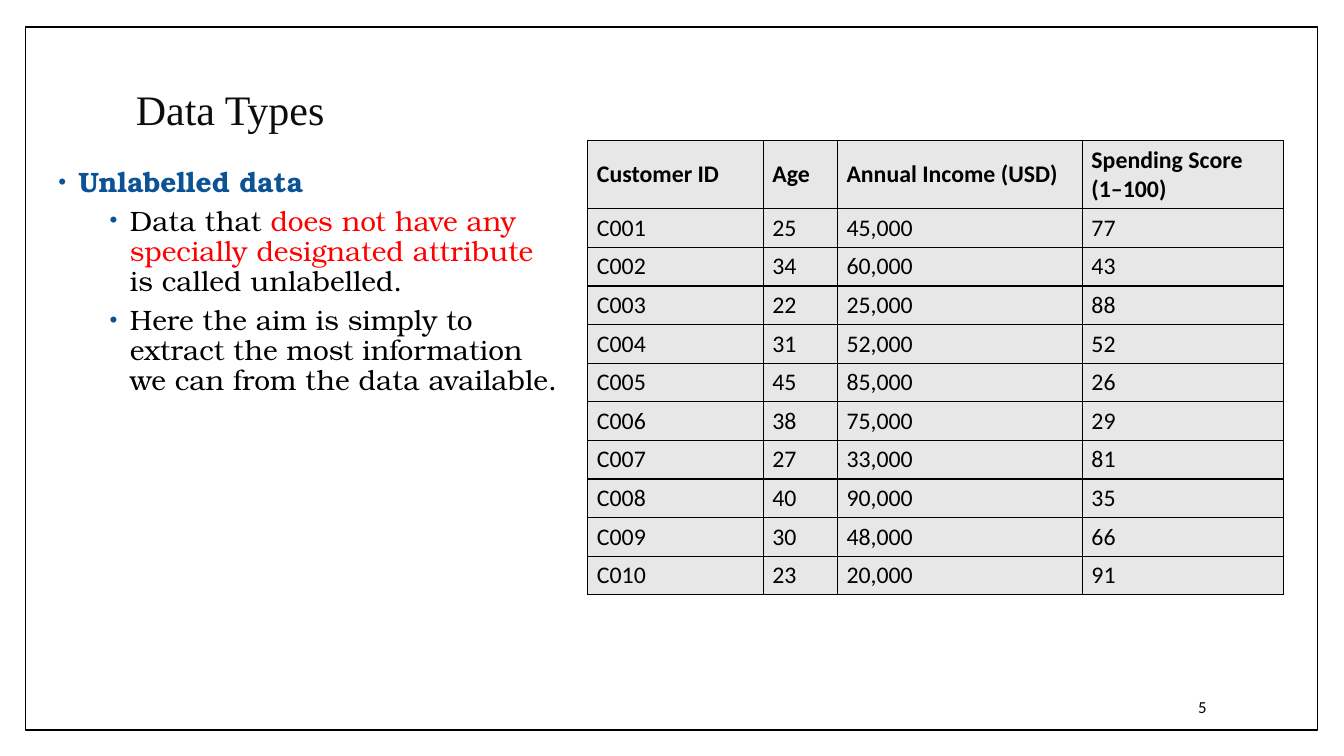
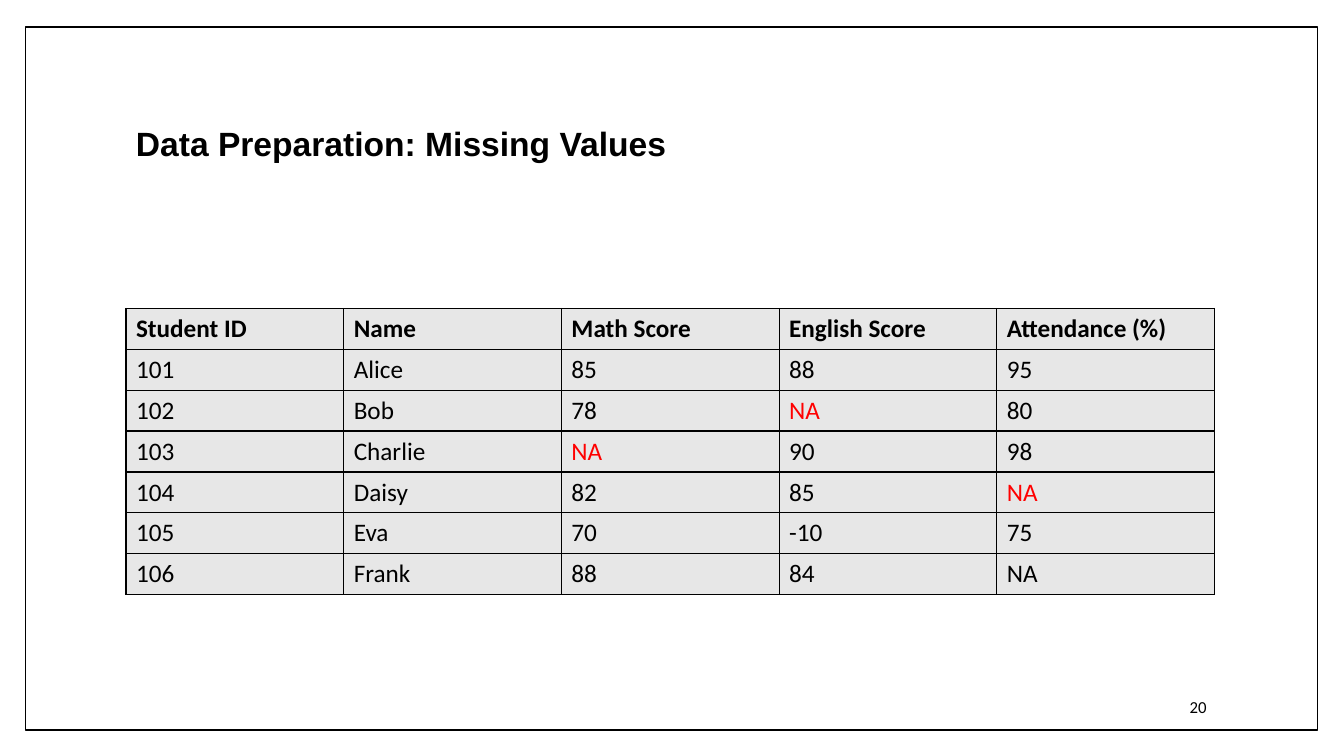
from pptx import Presentation
from pptx.dml.color import RGBColor
from pptx.enum.shapes import MSO_SHAPE
from pptx.enum.text import MSO_ANCHOR, PP_ALIGN
from pptx.oxml.ns import qn
from pptx.util import Pt
from lxml.etree import SubElement

COLORS = {"black": "000000", "title": "0D0D0D", "blue": "0B5394",
          "red": "FF0000", "cell": "E7E7E7", "white": "FFFFFF"}

# Content
TYPES_TITLE = {"text": "Data Types", "top": 43.2, "font": "Times New Roman",
               "size": 30, "color": "title"}
# Each paragraph: level, then runs of (text, colour, bold)
TYPES_BULLETS = [
    (0, [("Unlabelled data", "blue", True)]),
    (1, [("Data that ", "black", False),
         ("does not have any specially designated attribute ", "red", False),
         ("is called unlabelled.", "black", False)]),
    (1, [("Here the aim is simply to extract the most information "
          "we can from the data available.", "black", False)]),
]
CUSTOMERS = [
    ("Customer ID", "Age", "Annual Income (USD)", "Spending Score (1–100)"),
    ("C001", "25", "45,000", "77"),
    ("C002", "34", "60,000", "43"),
    ("C003", "22", "25,000", "88"),
    ("C004", "31", "52,000", "52"),
    ("C005", "45", "85,000", "26"),
    ("C006", "38", "75,000", "29"),
    ("C007", "27", "33,000", "81"),
    ("C008", "40", "90,000", "35"),
    ("C009", "30", "48,000", "66"),
    ("C010", "23", "20,000", "91"),
]
MISSING_TITLE = {"text": "Data Preparation: Missing Values", "top": 67,
                 "font": "Arial", "size": 24, "color": "black", "bold": True}
STUDENTS = [
    ("Student ID", "Name", "Math Score", "English Score", "Attendance (%)"),
    ("101", "Alice", "85", "88", "95"),
    ("102", "Bob", "78", "NA", "80"),
    ("103", "Charlie", "NA", "90", "98"),
    ("104", "Daisy", "82", "85", "NA"),
    ("105", "Eva", "70", "-10", "75"),
    ("106", "Frank", "88", "84", "NA"),
]
RED_STUDENT_CELLS = {(2, 3), (3, 2), (4, 4)}  # (row, column)


def rgb(name):
    return RGBColor.from_string(COLORS[name])


def style_run(run, font, size, color="black", bold=False):
    run.font.name = font
    run.font.size = Pt(size)
    run.font.bold = bold
    run.font.color.rgb = rgb(color)


def add_text_box(slide, left, top, width, height, anchor=MSO_ANCHOR.MIDDLE):
    box = slide.shapes.add_textbox(Pt(left), Pt(top), Pt(width), Pt(height))
    frame = box.text_frame
    frame.word_wrap = True
    frame.vertical_anchor = anchor
    return frame


def add_base_slide(presentation, title, number):
    """Blank slide with the shared frame, title and slide number."""
    slide = presentation.slides.add_slide(presentation.slide_layouts[6])
    border = slide.shapes.add_shape(MSO_SHAPE.RECTANGLE, Pt(18), Pt(19.4), Pt(923), Pt(502))
    border.shadow.inherit = False
    border.fill.solid()
    border.fill.fore_color.rgb = rgb("white")
    border.line.color.rgb = rgb("black")
    border.line.width = Pt(1)

    paragraph = add_text_box(slide, 90, title["top"], 777.6, 73.4).paragraphs[0]
    paragraph.text = title["text"]
    paragraph.line_spacing = 0.9
    style_run(paragraph.runs[0], title["font"], title["size"],
              title["color"], title.get("bold", False))

    paragraph = add_text_box(slide, 734.4, 490.3, 134.6, 28.8).paragraphs[0]
    paragraph.text = str(number)
    paragraph.alignment = PP_ALIGN.RIGHT
    style_run(paragraph.runs[0], "Calibri", 12)
    return slide


def set_bullet(paragraph, left, hanging):
    properties = paragraph._p.get_or_add_pPr()
    properties.set("marL", str(Pt(left)))
    properties.set("indent", str(-Pt(hanging)))
    color = SubElement(properties, qn("a:buClr"))
    SubElement(color, qn("a:srgbClr"), val=COLORS["blue"])
    SubElement(properties, qn("a:buSzPct"), val="80000")
    SubElement(properties, qn("a:buFont"), typeface="Arial")
    SubElement(properties, qn("a:buChar"), char="•")


def add_bullets(slide, bullets):
    frame = add_text_box(slide, 28.1, 116.6, 380.9, 318.2, MSO_ANCHOR.TOP)
    for index, (level, runs) in enumerate(bullets):
        paragraph = frame.add_paragraph() if index else frame.paragraphs[0]
        paragraph.level = level
        paragraph.line_spacing = 0.9
        paragraph.space_before = Pt(2)
        paragraph.space_after = Pt(4)
        set_bullet(paragraph, (20.9, 57.6)[level], 14.4)
        for text, color, bold in runs:
            run = paragraph.add_run()
            run.text = text
            style_run(run, "TeX Gyre Bonum", 20, color, bold)


def set_borders(cell):
    properties = cell._tc.get_or_add_tcPr()
    for position, side in enumerate(("lnL", "lnR", "lnT", "lnB")):
        line = SubElement(properties, qn(f"a:{side}"), w=str(Pt(1)))
        fill = SubElement(line, qn("a:solidFill"))
        SubElement(fill, qn("a:srgbClr"), val=COLORS["black"])
        properties.insert(position, line)  # borders precede the cell fill


def add_data_table(slide, rows, left, top, widths, heights, size,
                   margins=(7.2, 3.6), red_cells=()):
    table = slide.shapes.add_table(len(rows), len(widths), Pt(left), Pt(top),
                                   Pt(sum(widths)), Pt(sum(heights))).table
    table.horz_banding = False
    for column, width in zip(table.columns, widths):
        column.width = Pt(width)
    for r, (values, height) in enumerate(zip(rows, heights)):
        table.rows[r].height = Pt(height)
        for c, value in enumerate(values):
            cell = table.cell(r, c)
            cell.text_frame.text = value
            cell.vertical_anchor = MSO_ANCHOR.MIDDLE
            cell.margin_left = cell.margin_right = Pt(margins[0])
            cell.margin_top = cell.margin_bottom = Pt(margins[1])
            cell.fill.solid()
            cell.fill.fore_color.rgb = rgb("cell")
            set_borders(cell)
            color = "red" if (r, c) in red_cells else "black"
            style_run(cell.text_frame.paragraphs[0].runs[0], "Calibri", size, color, bold=r == 0)


def main():
    presentation = Presentation()
    presentation.slide_width, presentation.slide_height = Pt(960), Pt(540)

    # Data types: bullets beside the customer table
    slide = add_base_slide(presentation, TYPES_TITLE, 5)
    add_bullets(slide, TYPES_BULLETS)
    add_data_table(slide, CUSTOMERS, 419.8, 100.5, [125.3, 53, 175, 143.5],
                   [48.6] + [27.6] * (len(CUSTOMERS) - 1), 17, margins=(6.6, 3.3))

    # Missing values: student table
    slide = add_base_slide(presentation, MISSING_TITLE, 20)
    add_data_table(slide, STUDENTS, 90, 220.3, [777.6 / 5] * 5,
                   [29.2] * len(STUDENTS), 18, red_cells=RED_STUDENT_CELLS)

    presentation.save("out.pptx")


if __name__ == "__main__":
    main()
